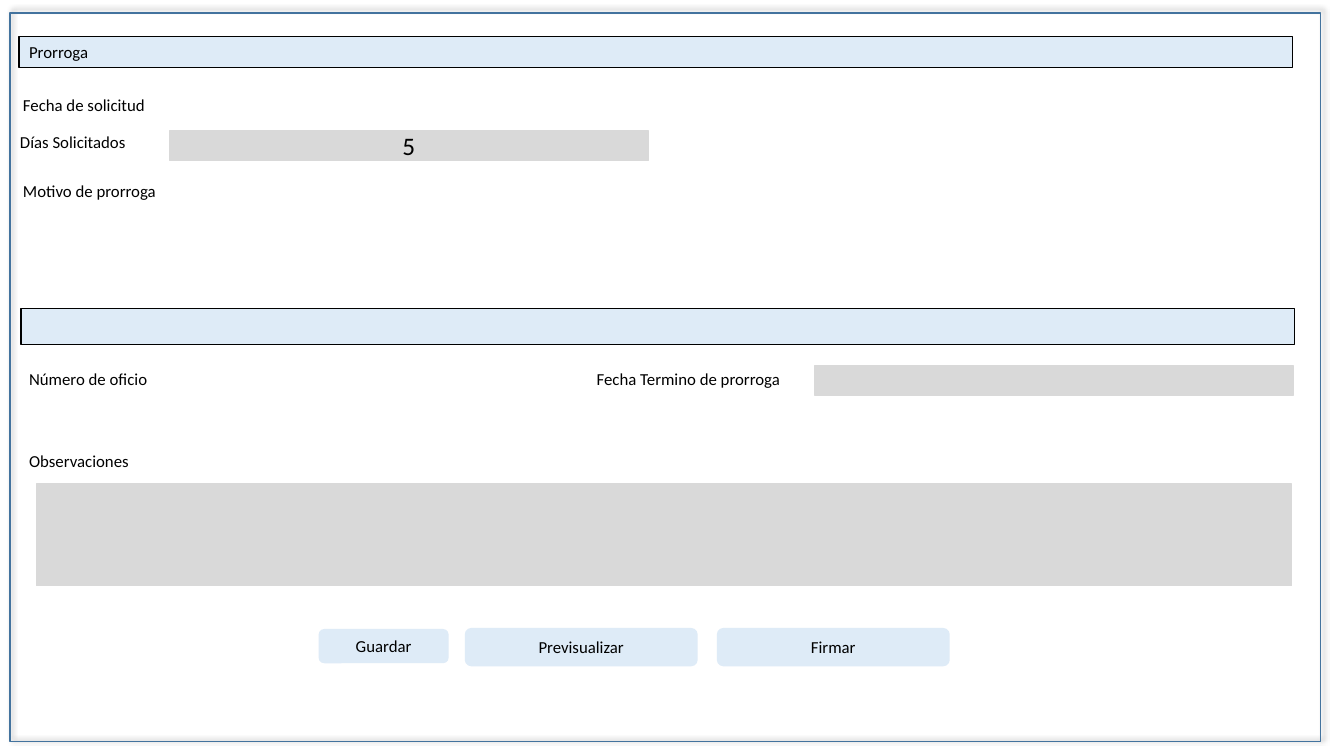
import pptx
import pptx.dml.color
import pptx.enum.shapes
import pptx.enum.text
import pptx.oxml
import pptx.oxml.ns
import pptx.util

Inches = pptx.util.Inches
Pt = pptx.util.Pt
RGBColor = pptx.dml.color.RGBColor
Shape = pptx.enum.shapes.MSO_SHAPE
Align = pptx.enum.text.PP_ALIGN
Anchor = pptx.enum.text.MSO_ANCHOR

BLACK = RGBColor(0x00, 0x00, 0x00)
BLUE = RGBColor(0x43, 0x73, 0x9E)
PALE = RGBColor(0xDE, 0xEB, 0xF7)
GRAY = RGBColor(0xD9, 0xD9, 0xD9)

SHADOW = (
    f'<a:effectLst {pptx.oxml.ns.nsdecls("a")}>'
    '<a:outerShdw blurRad="50800" dist="38100" dir="18900000" algn="bl" rotWithShape="0">'
    '<a:srgbClr val="000000"><a:alpha val="40000"/></a:srgbClr>'
    '</a:outerShdw></a:effectLst>'
)


class Form:
    def __init__(self, slide, font="Calibri", size=12):
        self.slide = slide
        self.font = font
        self.size = size

    def put_text(self, shape, text, size=None, align=Align.LEFT):
        para = shape.text_frame.paragraphs[0]
        para.alignment = align
        run = para.add_run()
        run.text = text
        run.font.name = self.font
        run.font.size = Pt(size or self.size)
        run.font.color.rgb = BLACK

    def shape(self, kind, box, fill=None, line=None):
        shape = self.slide.shapes.add_shape(kind, *map(Inches, box))
        shape.shadow.inherit = False
        if fill is None:
            shape.fill.background()
        else:
            shape.fill.solid()
            shape.fill.fore_color.rgb = fill
        if line is None:
            shape.line.fill.background()
        else:
            shape.line.color.rgb = line
            shape.line.width = Pt(1)
        shape.text_frame.vertical_anchor = Anchor.MIDDLE
        return shape

    def frame(self, box):
        """Draw the window outline with its soft shadow."""
        props = self.shape(Shape.RECTANGLE, box, line=BLUE)._element.spPr
        old = props.find(pptx.oxml.ns.qn("a:effectLst"))
        props.replace(old, pptx.oxml.parse_xml(SHADOW))

    def label(self, left, top, width, text):
        box = self.slide.shapes.add_textbox(
            Inches(left), Inches(top), Inches(width), Inches(0.3))
        box.text_frame.word_wrap = True
        box.text_frame.auto_size = pptx.enum.text.MSO_AUTO_SIZE.SHAPE_TO_FIT_TEXT
        self.put_text(box, text)

    def band(self, box, text=""):
        """Draw a section header bar."""
        bar = self.shape(Shape.RECTANGLE, box, PALE, BLACK)
        if text:
            self.put_text(bar, text)

    def field(self, box, text=""):
        area = self.shape(Shape.RECTANGLE, box, GRAY, GRAY)
        if text:
            self.put_text(area, text, 18, Align.CENTER)

    def button(self, box, text):
        shape = self.shape(Shape.ROUNDED_RECTANGLE, box, PALE)
        self.put_text(shape, text, align=Align.CENTER)


def main():
    deck = pptx.Presentation()
    deck.slide_width = Inches(13.33)
    deck.slide_height = Inches(7.5)
    form = Form(deck.slides.add_slide(deck.slide_layouts[6]))

    form.frame((0.1, 0.13, 13, 7.23))

    form.band((0.19, 0.36, 12.63, 0.31), "Prorroga")
    form.label(0.13, 0.89, 3.37, "Fecha de solicitud")
    form.label(0.1, 1.26, 3.37, "Días Solicitados")
    form.field((1.68, 1.3, 4.75, 0.29), "5")
    form.label(0.13, 1.74, 4, "Motivo de prorroga")

    form.band((0.21, 3.06, 12.63, 0.36))
    form.label(0.19, 3.61, 3.37, "Número de oficio")
    form.label(5.82, 3.61, 3.37, "Fecha Termino de prorroga")
    form.field((8.08, 3.63, 4.75, 0.29))
    form.label(0.19, 4.42, 4, "Observaciones")
    form.field((0.36, 4.8, 12.45, 1.01))

    form.button((3.16, 6.24, 1.29, 0.34), "Guardar")
    for left, text in ((4.61, "Previsualizar"), (7.11, "Firmar")):
        form.button((left, 6.23, 2.31, 0.38), text)

    deck.save("out.pptx")


if __name__ == "__main__":
    main()
